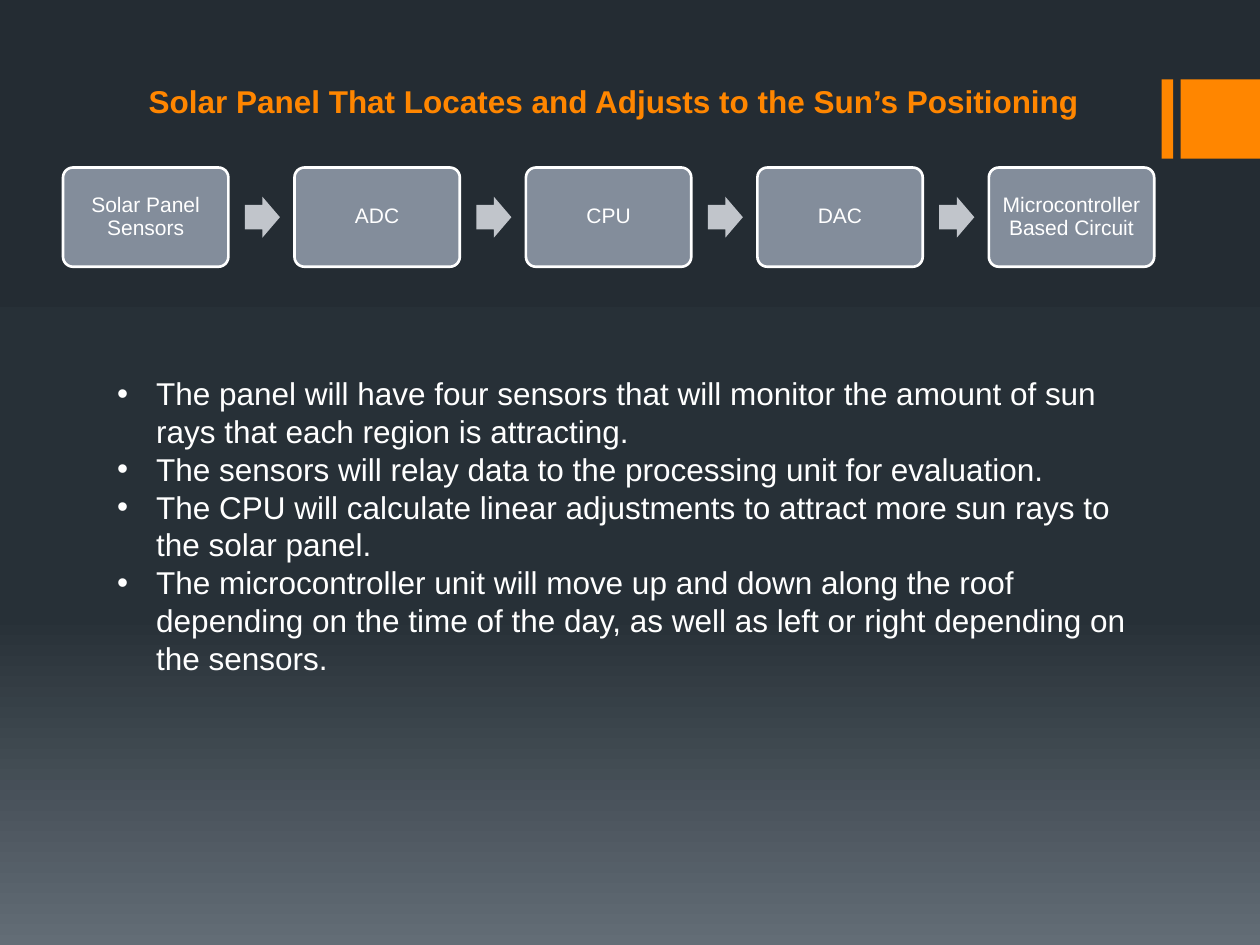
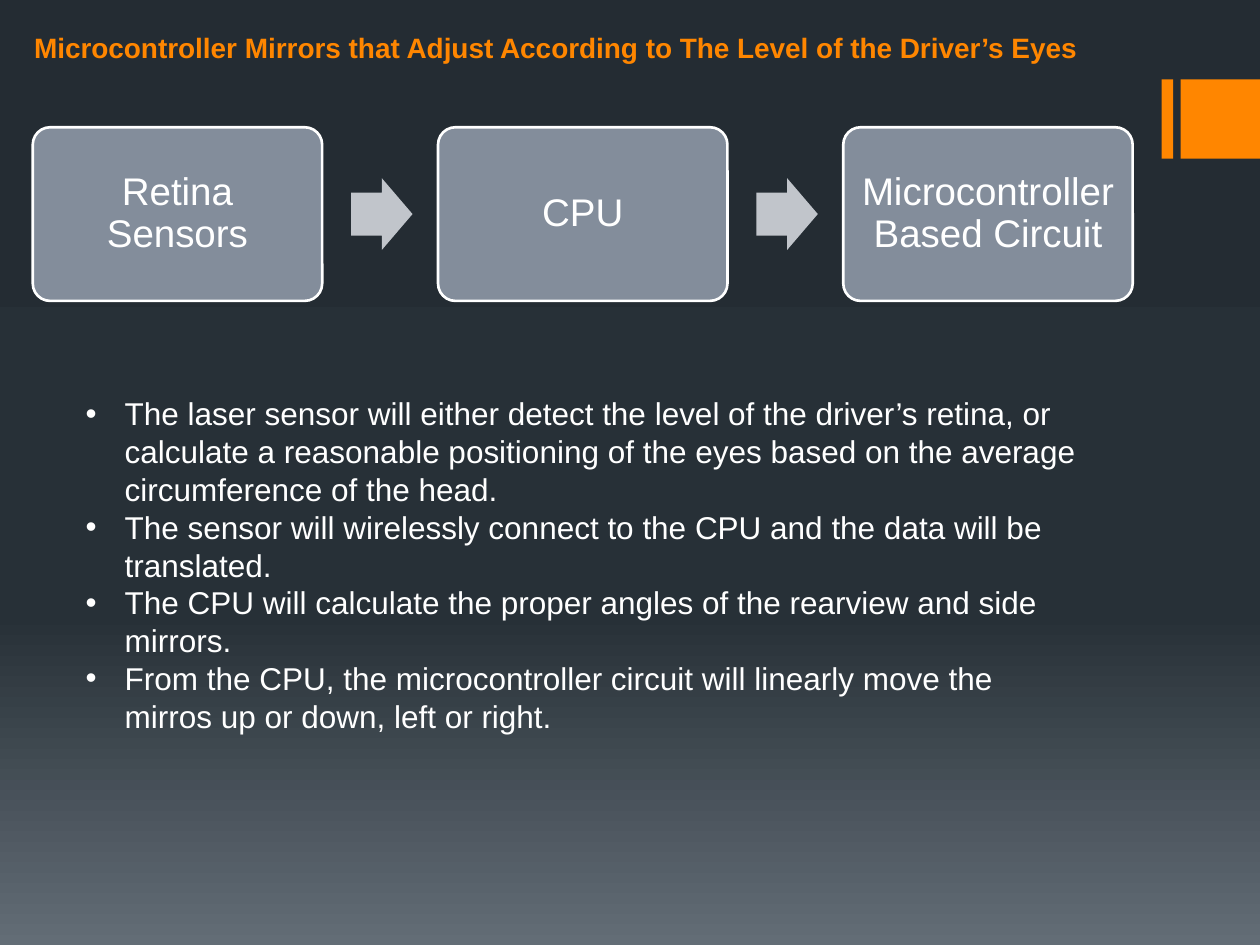
from copy import deepcopy
from dataclasses import dataclass

from pptx import Presentation
from pptx.dml.color import RGBColor
from pptx.enum.shapes import MSO_SHAPE
from pptx.enum.text import MSO_ANCHOR, MSO_AUTO_SIZE, PP_ALIGN
from pptx.oxml.ns import qn
from pptx.util import Inches, Length, Pt

# Shared style
RECTANGLE = MSO_SHAPE.RECTANGLE
ROUNDED = MSO_SHAPE.ROUNDED_RECTANGLE
ARROW = MSO_SHAPE.RIGHT_ARROW
CENTER, LEFT = PP_ALIGN.CENTER, PP_ALIGN.LEFT
MIDDLE, BOTTOM, TOP = MSO_ANCHOR.MIDDLE, MSO_ANCHOR.BOTTOM, MSO_ANCHOR.TOP
NO_AUTO_SIZE = MSO_AUTO_SIZE.NONE

FONT = "Arial"
ORANGE = RGBColor(0xFF, 0x86, 0x00)
WHITE = RGBColor(0xFF, 0xFF, 0xFF)
NODE_FILL = RGBColor(0x83, 0x8D, 0x9B)
ARROW_FILL = RGBColor(0xC1, 0xC5, 0xCB)
GRADIENT = [
    (0.0, RGBColor(0x24, 0x2C, 0x33)),
    (0.65, RGBColor(0x27, 0x30, 0x37)),
    (1.0, RGBColor(0x63, 0x6D, 0x76)),
]

# Flow proportions, relative to the width of a node
NODE_HEIGHT = 0.6
NODE_GAP = 0.4
ARROW_OFFSET = 0.1
ARROW_WIDTH = 0.212
ARROW_HEIGHT = 0.248


@dataclass
class Box:
    left: float
    top: float
    width: float
    height: float

    def lengths(self) -> list[Length]:
        return [Inches(n) for n in (self.left, self.top, self.width, self.height)]


@dataclass
class Flow:
    left: float
    top: float
    width: float
    inset: float
    size: int
    steps: list[str]


@dataclass
class Topic:
    title: str
    title_box: Box
    title_size: int
    flow: Flow
    bullets: list[str]
    bullets_box: Box


BANDS = [Box(9.22, 0.63, 0.09, 0.63), Box(9.37, 0.63, 0.63, 0.63)]

TOPICS = [
    Topic(
        "Solar Panel That Locates and Adjusts to the Sun’s Positioning",
        Box(1.08, 0.58, 8, 0.42),
        18,
        Flow(0.5, 1.33, 8.66, 0.05, 12,
             ["Solar Panel Sensors", "ADC", "CPU", "DAC", "Microcontroller Based Circuit"]),
        [
            "The panel will have four sensors that will monitor the amount of sun rays "
            "that each region is attracting.",
            "The sensors will relay data to the processing unit for evaluation.",
            "The CPU will calculate linear adjustments to attract more sun rays to the "
            "solar panel.",
            "The microcontroller unit will move up and down along the roof depending on "
            "the time of the day, as well as left or right depending on the sensors.",
        ],
        Box(0.83, 2.92, 8.33, 2.83),
    ),
    Topic(
        "Microcontroller Mirrors that Adjust According to The Level of the Driver’s Eyes",
        Box(0.17, 0.03, 9.58, 0.53),
        16,
        Flow(0.26, 1.01, 8.73, 0.08, 22,
             ["Retina Sensors", "CPU", "Microcontroller Based Circuit"]),
        [
            "The laser sensor will either detect the level of the driver’s retina, or "
            "calculate a reasonable positioning of the eyes based on the average "
            "circumference of the head.",
            "The sensor will wirelessly connect to the CPU and the data will be translated.",
            "The CPU will calculate the proper angles of the rearview and side mirrors.",
            "From the CPU, the microcontroller circuit will linearly move the mirros up "
            "or down, left or right.",
        ],
        Box(0.58, 3.08, 8.08, 2.83),
    ),
]


def set_background(master) -> None:
    """Give every slide the same three-stop vertical gradient."""
    fill = master.background.fill
    fill.gradient()
    fill.gradient_angle = 270
    stop_list = master.element.find(".//" + qn("a:gsLst"))
    stop_list.append(deepcopy(stop_list[-1]))
    for stop, (position, color) in zip(fill.gradient_stops, GRADIENT):
        stop.position = position
        stop.color.rgb = color


def format_paragraph(paragraph, size: int, color: RGBColor, alignment, bold: bool = False) -> None:
    paragraph.alignment = alignment
    for run in paragraph.runs:
        run.font.name = FONT
        run.font.size = Pt(size)
        run.font.bold = bold
        run.font.color.rgb = color


def add_filled(shapes, kind, box: Box, color: RGBColor):
    shape = shapes.add_shape(kind, *box.lengths())
    shape.shadow.inherit = False
    shape.fill.solid()
    shape.fill.fore_color.rgb = color
    shape.line.fill.background()
    return shape


def place(placeholder, box: Box, anchor):
    placeholder.left, placeholder.top, placeholder.width, placeholder.height = box.lengths()
    text_frame = placeholder.text_frame
    text_frame.auto_size = NO_AUTO_SIZE
    text_frame.vertical_anchor = anchor
    return text_frame


def add_node(shapes, box: Box, text: str, flow: Flow) -> None:
    node = add_filled(shapes, ROUNDED, box, NODE_FILL)
    node.adjustments[0] = 0.1
    node.line.color.rgb = WHITE
    node.line.width = Pt(1.5)
    # The rounded corners already narrow the text area, so the inset stays small
    text_frame = node.text_frame
    text_frame.word_wrap = True
    text_frame.vertical_anchor = MIDDLE
    text_frame.margin_left = text_frame.margin_right = Inches(flow.inset)
    text_frame.margin_top = text_frame.margin_bottom = Inches(flow.inset)
    text_frame.text = text
    paragraph = text_frame.paragraphs[0]
    paragraph.line_spacing = 0.9
    format_paragraph(paragraph, flow.size, WHITE, CENTER)


def add_flow(slide, flow: Flow) -> None:
    """Draw equal nodes across the row, with an arrow in each gap."""
    shapes = slide.shapes.add_group_shape().shapes
    count = len(flow.steps)
    width = flow.width / (count + (count - 1) * NODE_GAP)
    height = width * NODE_HEIGHT
    arrow_height = width * ARROW_HEIGHT
    arrow_top = flow.top + (height - arrow_height) / 2
    for index, step in enumerate(flow.steps):
        left = flow.left + index * width * (1 + NODE_GAP)
        add_node(shapes, Box(left, flow.top, width, height), step, flow)
        if index < count - 1:
            arrow_left = left + width * (1 + ARROW_OFFSET)
            arrow_box = Box(arrow_left, arrow_top, width * ARROW_WIDTH, arrow_height)
            arrow = add_filled(shapes, ARROW, arrow_box, ARROW_FILL)
            arrow.adjustments[0] = 0.6
            arrow.adjustments[1] = 0.5


def add_bullets(placeholder, topic: Topic) -> None:
    text_frame = place(placeholder, topic.bullets_box, TOP)
    text_frame.text = "\n".join(topic.bullets)
    for paragraph in text_frame.paragraphs:
        paragraph.space_before = Pt(0)
        paragraph.line_spacing = Pt(21.6)
        format_paragraph(paragraph, 18, WHITE, LEFT)
        # Hanging indent for the bullet
        properties = paragraph._p.get_or_add_pPr()
        properties.set("marL", str(Inches(0.31)))
        properties.set("indent", str(-Inches(0.31)))


def add_topic(presentation, topic: Topic) -> None:
    slide = presentation.slides.add_slide(presentation.slide_layouts[1])
    for band in BANDS:
        add_filled(slide.shapes, RECTANGLE, band, ORANGE)
    title_frame = place(slide.shapes.title, topic.title_box, BOTTOM)
    title_frame.text = topic.title
    format_paragraph(title_frame.paragraphs[0], topic.title_size, ORANGE, LEFT, bold=True)
    add_flow(slide, topic.flow)
    add_bullets(slide.placeholders[1], topic)


def main() -> None:
    presentation = Presentation()
    presentation.slide_width = Inches(10)
    presentation.slide_height = Inches(7.5)
    set_background(presentation.slide_master)
    for topic in TOPICS:
        add_topic(presentation, topic)
    presentation.save("out.pptx")


if __name__ == "__main__":
    main()
